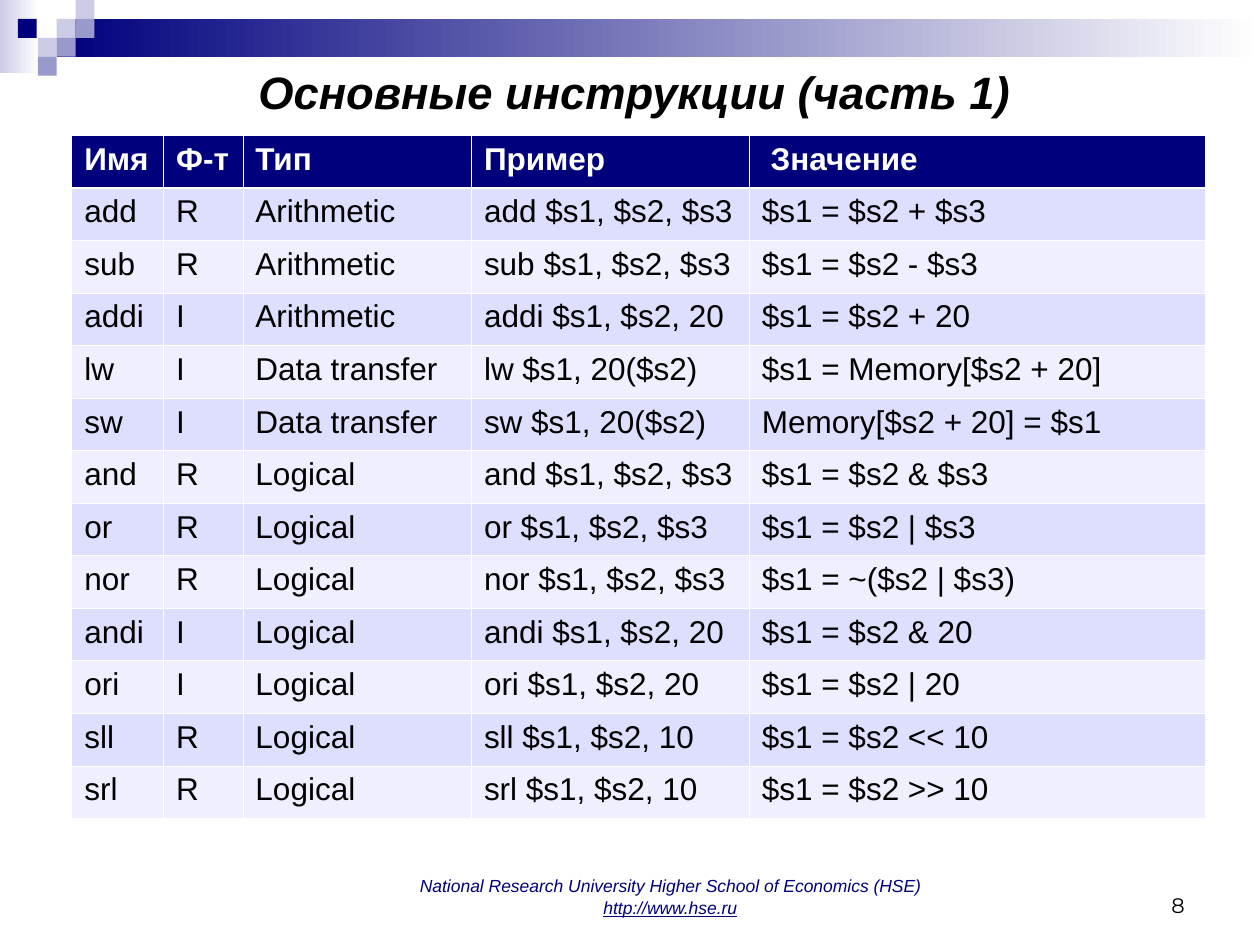
"""Build a slide that lists basic processor instructions in a table."""
import pptx
import pptx.util
import pptx.dml.color
import pptx.enum.shapes
import pptx.enum.text
import pptx.oxml
import pptx.oxml.ns

Pt = pptx.util.Pt
ALIGN = pptx.enum.text.PP_ALIGN
LOW = pptx.enum.text.MSO_ANCHOR.BOTTOM

THEME = {
    "navy": "00007D", "violet": "9999CC", "pale": "CCCCE6",
    "white": "FFFFFF", "black": "000000",
    "bands": ("DEDEFF", "EFEFFF"),
    "font": "Arial", "numfont": "Montserrat",
    "title": 25.9, "cell": 18, "foot": 10, "num": 12,
    "thin": 0.45, "thick": 1.47,
}

TITLE = "Основные инструкции (часть 1)"
FOOT = ["National Research University Higher School of Economics (HSE)",
        "http://www.hse.ru"]
PAGE = "8"
ROWS = [
    ("Имя", "Ф-т", "Тип", "Пример", "Значение"),
    ("add", "R", "Arithmetic", "add $s1, $s2, $s3", "$s1 = $s2 + $s3"),
    ("sub", "R", "Arithmetic", "sub $s1, $s2, $s3", "$s1 = $s2 - $s3"),
    ("addi", "I", "Arithmetic", "addi $s1, $s2, 20", "$s1 = $s2 + 20"),
    ("lw", "I", "Data transfer", "lw $s1, 20($s2)", "$s1 = Memory[$s2 + 20]"),
    ("sw", "I", "Data transfer", "sw $s1, 20($s2)", "Memory[$s2 + 20] = $s1"),
    ("and", "R", "Logical", "and $s1, $s2, $s3", "$s1 = $s2 & $s3"),
    ("or", "R", "Logical", "or $s1, $s2, $s3", "$s1 = $s2 | $s3"),
    ("nor", "R", "Logical", "nor $s1, $s2, $s3", "$s1 = ~($s2 | $s3)"),
    ("andi", "I", "Logical", "andi $s1, $s2, 20", "$s1 = $s2 & 20"),
    ("ori", "I", "Logical", "ori $s1, $s2, 20", "$s1 = $s2 | 20"),
    ("sll", "R", "Logical", "sll $s1, $s2, 10", "$s1 = $s2 << 10"),
    ("srl", "R", "Logical", "srl $s1, $s2, 10", "$s1 = $s2 >> 10"),
]
WIDTHS = (52.5, 45.3, 130.6, 158.8, 260.8)
HEIGHT = 30.03
FADES = [((0, 0, 22.3, 41.8), "pale"), ((32.4, 10.8, 687.6, 21.6), "navy")]
TILE = 10.8
TILES = [(1, 1, "pale"), (2, 0, "pale"), (2, 1, "violet"), (0, 2, "pale"),
         (1, 2, "violet"), (0, 3, "violet")]


def tint(name):
    return pptx.dml.color.RGBColor.from_string(THEME.get(name, name))


def block(slide, box, color, fade=False):
    shape = slide.shapes.add_shape(
        pptx.enum.shapes.MSO_SHAPE.RECTANGLE, *map(Pt, box))
    shape.shadow.inherit = False
    shape.line.fill.background()
    if fade:
        shape.fill.gradient()
        shape.fill.gradient_angle = 0
        for stop, name in zip(shape.fill.gradient_stops, (color, "white")):
            stop.color.rgb = tint(name)
    else:
        shape.fill.solid()
        shape.fill.fore_color.rgb = tint(color)


def style(para, size, color="black", font="font", bold=False, slant=False):
    for run in para.runs:
        face = run.font
        face.name, face.size = THEME[font], Pt(THEME[size])
        face.bold, face.italic = bold, slant
        face.color.rgb = tint(color)


def label(slide, box, text, align, *look, **more):
    frame = slide.shapes.add_textbox(*map(Pt, box)).text_frame
    frame.word_wrap = True
    frame.vertical_anchor = LOW
    frame.text = text
    for para in frame.paragraphs:
        para.alignment = align
        style(para, *look, **more)
    return frame.paragraphs


def edge(cell, side, width):
    space = pptx.oxml.ns.nsdecls("a")
    cell._tc.get_or_add_tcPr().append(pptx.oxml.parse_xml(
        f'<a:ln{side} {space} w="{Pt(width)}"><a:solidFill>'
        f'<a:srgbClr val="{THEME["white"]}"/></a:solidFill></a:ln{side}>'))


def grid(slide):
    table = slide.shapes.add_table(
        len(ROWS), len(WIDTHS), Pt(41), Pt(77.4),
        Pt(sum(WIDTHS)), Pt(HEIGHT * len(ROWS))).table
    for col, width in zip(table.columns, WIDTHS):
        col.width = Pt(width)
    for r, row in enumerate(ROWS):
        table.rows[r].height = Pt(HEIGHT)
        head = r == 0
        for c, text in enumerate(row):
            cell = table.cell(r, c)
            for side in "LRTB":
                heavy = (r, side) in ((0, "B"), (1, "T"))
                edge(cell, side, THEME["thick" if heavy else "thin"])
            cell.fill.solid()
            cell.fill.fore_color.rgb = tint(
                "navy" if head else THEME["bands"][(r - 1) % 2])
            cell.text_frame.text = text
            style(cell.text_frame.paragraphs[0], "cell",
                  "white" if head else "black", bold=head)
    table.cell(0, len(WIDTHS) - 1).margin_left = Pt(12.2)


def main():
    deck = pptx.Presentation()
    deck.slide_width, deck.slide_height = Pt(720), Pt(540)
    slide = deck.slides.add_slide(deck.slide_layouts[6])
    for box, color in FADES:
        block(slide, box, color, fade=True)
    for col, row, color in TILES:
        block(slide, (21.6 + col * TILE, row * TILE, TILE, TILE), color)
    block(slide, (10.2, TILE, TILE, TILE), "navy")
    foot = label(slide, (150.5, 491.8, 465.1, 36), "\n".join(FOOT),
                 ALIGN.CENTER, "foot", "navy", slant=True)
    for para in foot:
        para.line_spacing = 0.8
    foot[1].space_before = Pt(2.5)
    foot[1].runs[0].font.underline = True
    label(slide, (598.3, 491.8, 85.7, 36), PAGE, ALIGN.RIGHT,
          "num", font="numfont")
    label(slide, (36, 31.7, 653, 39.6), TITLE, ALIGN.CENTER,
          "title", bold=True, slant=True)
    grid(slide)
    deck.save("out.pptx")


if __name__ == "__main__":
    main()
